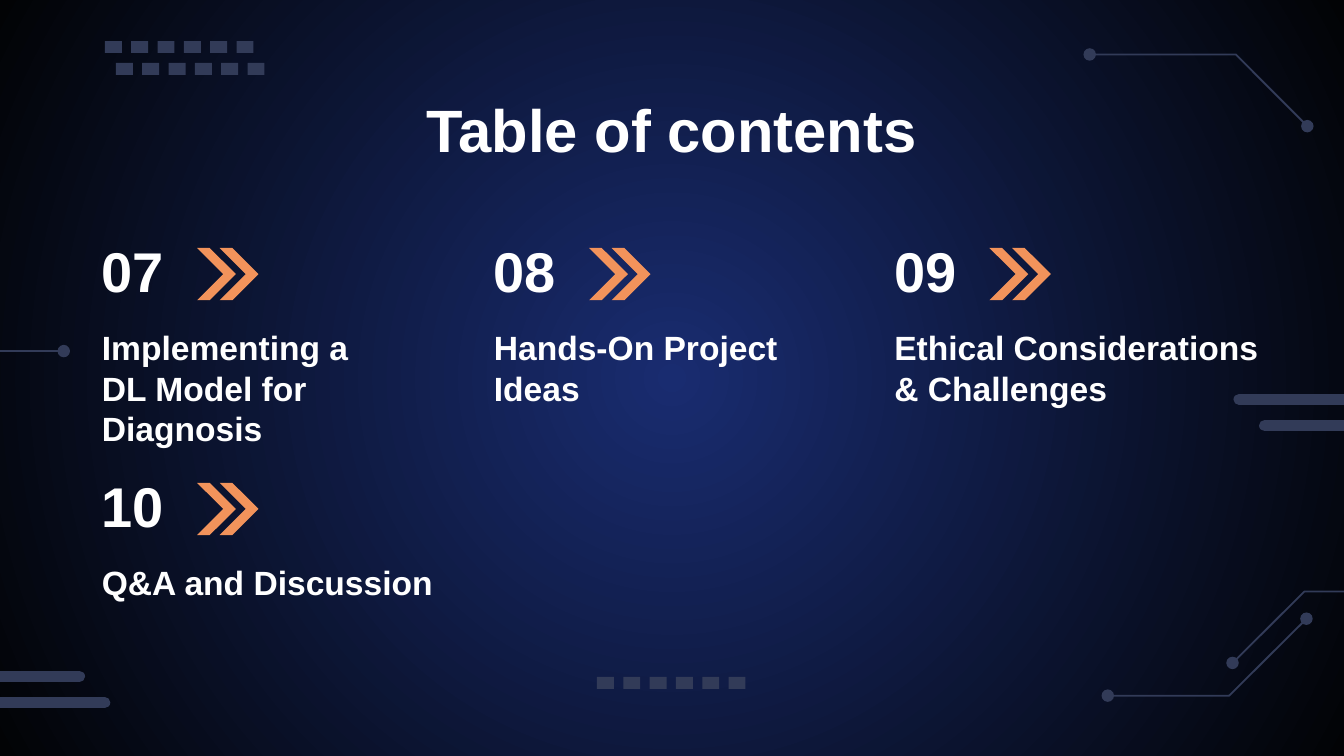
from lxml.etree import SubElement
from pptx import Presentation
from pptx.dml.color import RGBColor
from pptx.enum.shapes import MSO_CONNECTOR, MSO_SHAPE
from pptx.enum.text import MSO_ANCHOR, PP_ALIGN
from pptx.oxml.ns import qn
from pptx.util import Pt

NAVY = RGBColor(0x19, 0x2C, 0x70)
BLACK = RGBColor(0x02, 0x03, 0x05)
SLATE = RGBColor(0x32, 0x3B, 0x58)
ORANGE = RGBColor(0xF2, 0x93, 0x5B)
WHITE = RGBColor(0xFF, 0xFF, 0xFF)
FONT = "Arial"
WIDTH, HEIGHT = 720, 405
DOT = 6.7


def paint_background(slide):
    """Radial gradient, light in the centre of the slide."""
    fill = slide.background.fill
    fill.gradient()
    for stop, color, position in zip(fill.gradient_stops, (NAVY, BLACK), (0, 1)):
        stop.color.rgb = color
        stop.position = position
    grad = slide._element.find(".//" + qn("a:gradFill"))
    grad.remove(grad.find(qn("a:lin")))
    path = SubElement(grad, qn("a:path"), path="circle")
    SubElement(path, qn("a:fillToRect"), l="50000", t="50000", r="50000", b="50000")


def fill_plain(sp, color):
    sp.shadow.inherit = False
    sp.fill.solid()
    sp.fill.fore_color.rgb = color
    sp.line.fill.background()


def add_outline(slide, points, close):
    builder = slide.shapes.build_freeform(Pt(points[0][0]), Pt(points[0][1]))
    builder.add_line_segments([(Pt(x), Pt(y)) for x, y in points[1:]], close=close)
    sp = builder.convert_to_shape()
    sp.shadow.inherit = False
    return sp


def add_text(slide, x, y, w, h, text, size, anchor=MSO_ANCHOR.TOP, align=PP_ALIGN.LEFT):
    tf = slide.shapes.add_textbox(Pt(x), Pt(y), Pt(w), Pt(h)).text_frame
    tf.word_wrap = True
    tf.vertical_anchor = anchor
    tf.margin_left = tf.margin_right = tf.margin_top = tf.margin_bottom = Pt(7.2)
    tf.text = text
    p = tf.paragraphs[0]
    p.alignment = align
    font = p.runs[0].font
    font.name, font.size, font.bold = FONT, Pt(size), True
    font.color.rgb = WHITE


def add_trace(slide, points, dots):
    """Thin circuit line with round nodes at the given points."""
    sp = add_outline(slide, points, close=False)
    sp.fill.background()
    sp.line.color.rgb = SLATE
    sp.line.width = Pt(1)
    for x, y in dots:
        dot = slide.shapes.add_shape(
            MSO_SHAPE.OVAL, Pt(x - DOT / 2), Pt(y - DOT / 2), Pt(DOT), Pt(DOT))
        fill_plain(dot, SLATE)


def add_dash_row(slide, x, y, count=6, pitch=14.1):
    for i in range(count):
        dash = slide.shapes.add_shape(
            MSO_SHAPE.RECTANGLE, Pt(x + i * pitch), Pt(y), Pt(9.1), Pt(6.4))
        fill_plain(dash, SLATE)


def add_bar(slide, x1, x2, y):
    """Thick line with round ends."""
    bar = slide.shapes.add_connector(MSO_CONNECTOR.STRAIGHT, Pt(x1), Pt(y), Pt(x2), Pt(y))
    bar.line.color.rgb = SLATE
    bar.line.width = Pt(6)
    sp_pr = bar._element.spPr
    sp_pr.find(qn("a:ln")).set("cap", "rnd")
    SubElement(sp_pr, qn("a:effectLst"))


def add_decoration(slide):
    left_end = (34.2, 188.1)
    add_trace(slide, [(0, 188.1), left_end], [left_end])
    top = [(583.8, 29.2), (662.1, 29.2), (700.4, 67.6)]
    add_trace(slide, top, [top[0], top[-1]])
    upper = [(660.3, 355.2), (698.8, 316.9), (WIDTH, 316.9)]
    add_trace(slide, upper, upper[:1])
    lower = [(593.5, 372.7), (658.5, 372.7), (699.9, 331.5)]
    add_trace(slide, lower, [lower[0], lower[-1]])

    for x, y in ((56.2, 22), (62.1, 33.7), (319.8, 362.7)):
        add_dash_row(slide, x, y)
    for x1, x2, y in ((663.8, WIDTH, 214), (677.5, WIDTH, 228),
                      (0, 42.6, 362.4), (0, 56.1, 376.4)):
        add_bar(slide, x1, x2, y)


def add_chevron(slide, x, y, w=20.8, h=28, arm=6.8):
    points = [(x, y), (x + arm, y), (x + w, y + h / 2), (x + arm, y + h),
              (x, y + h), (x + w - arm, y + h / 2)]
    fill_plain(add_outline(slide, points, close=True), ORANGE)


def add_item(slide, x, y, w, number, text):
    add_text(slide, x, y, 57.6, 45.4, number, 30, MSO_ANCHOR.BOTTOM)
    add_text(slide, x, y + 43.6, w, 59, text, 18)
    for dx in (58.1, 70.2):
        add_chevron(slide, x + dx, y + 8.4)


def main():
    prs = Presentation()
    prs.slide_width, prs.slide_height = Pt(WIDTH), Pt(HEIGHT)
    slide = prs.slides.add_slide(prs.slide_layouts[6])
    paint_background(slide)
    add_decoration(slide)
    add_text(slide, 72, 42.5, 576, 45.4, "Table of contents", 32, align=PP_ALIGN.CENTER)
    items = (
        (47.5, 124.5, 171.4, "07", "Implementing a DL Model for Diagnosis"),
        (257.5, 124.5, 171.4, "08", "Hands-On Project Ideas"),
        (472, 124.5, 212.4, "09", "Ethical Considerations & Challenges"),
        (47.5, 250.3, 193.7, "10", "Q&A and Discussion"),
    )
    for item in items:
        add_item(slide, *item)
    prs.save("out.pptx")


if __name__ == "__main__":
    main()
